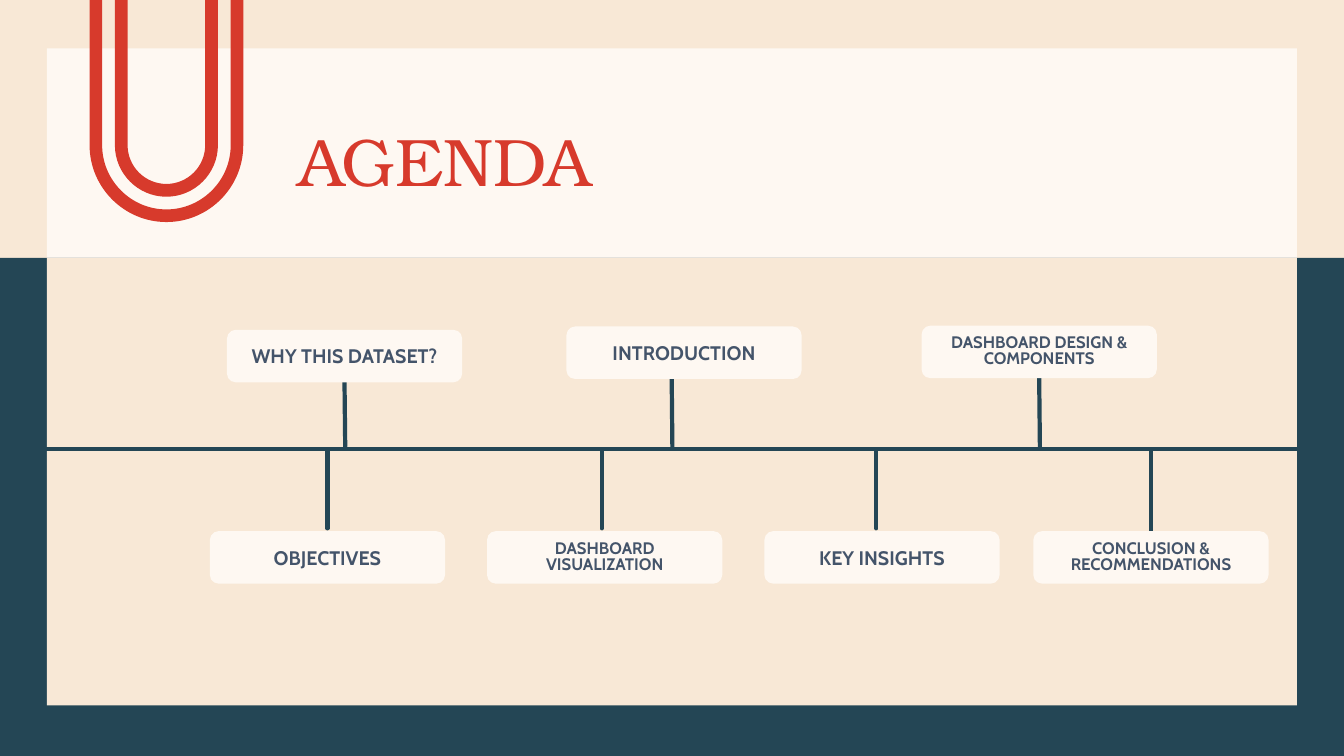
from dataclasses import dataclass

from lxml.etree import SubElement
from pptx import Presentation
from pptx.dml.color import RGBColor
from pptx.enum.shapes import MSO_CONNECTOR, MSO_SHAPE
from pptx.enum.text import MSO_ANCHOR, MSO_AUTO_SIZE, PP_ALIGN
from pptx.oxml.ns import qn
from pptx.util import Pt


@dataclass(frozen=True)
class Theme:
    sand: RGBColor = RGBColor.from_string("F8E8D6")
    cream: RGBColor = RGBColor.from_string("FEF8F2")
    navy: RGBColor = RGBColor.from_string("244655")
    red: RGBColor = RGBColor.from_string("D73A2C")
    slate: RGBColor = RGBColor.from_string("44546A")
    title_font: str = "TeX Gyre Bonum"
    label_font: str = "Cabin"
    title_size: float = 48
    label_size: float = 14
    long_label_size: float = 11.9
    line_width: float = 3


THEME = Theme()
SLIDE_W, SLIDE_H = 960, 540
MARGIN, HEADER_TOP, HEADER_BOTTOM = 33.6, 34.5, 184.2
CARD_W, CARD_H = 168, 37.5
AXIS_Y = 321
LOWER_TOP = 379.4
STEM_LEAN = 0.5
STEM_GAP = 2
CURVE = 0.55  # handle length of a quarter circle, as a share of its radius

# Label, card left, card top, stem offset from the card's centre,
# stem joined to the card, long label
UPPER_TOPICS = [
    ("WHY THIS DATASET?", 162.1, 235.6, 0, True, False),
    ("INTRODUCTION", 404.6, 233.2, -8.8, False, False),
    ("DASHBOARD DESIGN & COMPONENTS", 658.3, 232.6, 0, True, True),
]
LOWER_TOPICS = [
    ("OBJECTIVES", 149.9, LOWER_TOP, 0, False, False),
    ("DASHBOARD VISUALIZATION", 347.9, LOWER_TOP, -2, False, True),
    ("KEY INSIGHTS", 546, LOWER_TOP, -4, False, False),
    ("CONCLUSION & RECOMMENDATIONS", 738.1, LOWER_TOP, 0, True, True),
]


def paint(shape, color):
    shape.shadow.inherit = False
    shape.fill.solid()
    shape.fill.fore_color.rgb = color
    shape.line.fill.background()


def add_panel(slide, left, top, width, height, color, kind=MSO_SHAPE.RECTANGLE):
    panel = slide.shapes.add_shape(kind, Pt(left), Pt(top), Pt(width), Pt(height))
    paint(panel, color)
    return panel


def add_line(slide, x1, y1, x2, y2):
    line = slide.shapes.add_connector(
        MSO_CONNECTOR.STRAIGHT, Pt(x1), Pt(y1), Pt(x2), Pt(y2))
    line.line.color.rgb = THEME.navy
    line.line.width = Pt(THEME.line_width)
    line.line._get_or_add_ln().set("cap", "rnd")
    SubElement(line._element.spPr, qn("a:effectLst"))
    return line


def bend_segment(start, segment, from_side):
    """Turn a straight segment into a quarter circle."""
    x1, y1 = int(start.get("x")), int(start.get("y"))
    end = segment[0]
    x2, y2 = int(end.get("x")), int(end.get("y"))
    corner_x, corner_y = (x1, y2) if from_side else (x2, y1)
    segment.tag = qn("a:cubicBezTo")
    for x, y in ((x2, y2), (x1, y1)):
        handle = segment.makeelement(qn("a:pt"), {
            "x": str(round(x + CURVE * (corner_x - x))),
            "y": str(round(y + CURVE * (corner_y - y)))})
        segment.insert(0, handle)


def add_clip_wire(slide, outer, inner):
    """Draw a U-shaped wire that hangs from the top of the slide."""
    center_x, bend_y = 118.9, 103.7

    def u_outline(radius):
        right, left = center_x + radius, center_x - radius
        return [(right, 0), (right, bend_y), (center_x, bend_y + radius),
                (left, bend_y), (left, 0)]

    points = [(Pt(x), Pt(y)) for x, y in u_outline(outer) + u_outline(inner)[::-1]]
    builder = slide.shapes.build_freeform(*points[0])
    builder.add_line_segments(points[1:], close=True)
    wire = builder.convert_to_shape()
    paint(wire, THEME.red)

    # Round the bends at the foot of both outlines
    segments = list(wire._element.iter(qn("a:moveTo"), qn("a:lnTo")))
    for index, from_side in ((2, True), (3, False), (7, True), (8, False)):
        bend_segment(segments[index - 1][-1], segments[index], from_side)


def set_frame(frame):
    frame.word_wrap = True
    frame.auto_size = MSO_AUTO_SIZE.NONE
    frame.vertical_anchor = MSO_ANCHOR.MIDDLE
    frame.margin_left = frame.margin_right = Pt(9.4)
    frame.margin_top = frame.margin_bottom = Pt(5)


def add_topic(slide, label, left, top, stem_offset, is_joined, is_long):
    # Stem between the card and the axis
    is_upper = top < AXIS_Y
    stem_x = left + CARD_W / 2 + stem_offset
    if is_upper:
        stem = add_line(slide, stem_x, top + CARD_H, stem_x + STEM_LEAN, AXIS_Y - STEM_GAP)
    else:
        stem = add_line(slide, stem_x, top - STEM_GAP, stem_x, AXIS_Y)

    # Card with its label
    card = add_panel(slide, left, top, CARD_W, CARD_H, THEME.cream,
                     MSO_SHAPE.ROUNDED_RECTANGLE)
    if is_joined:
        stem.begin_connect(card, 2 if is_upper else 0)
    set_frame(card.text_frame)
    text = card.text_frame.paragraphs[0]
    text.text = label
    text.alignment = PP_ALIGN.CENTER
    text.line_spacing = 0.8 if is_long else 1.0
    text.font.name = THEME.label_font
    text.font.size = Pt(THEME.long_label_size if is_long else THEME.label_size)
    text.font.bold = True
    text.font.color.rgb = THEME.slate


def add_title(slide, words):
    title = slide.shapes.title
    title.left, title.top, title.width, title.height = (
        Pt(203.8), Pt(81.4), Pt(707.8), Pt(74.2))
    set_frame(title.text_frame)
    text = title.text_frame.paragraphs[0]
    text.text = words
    text.alignment = PP_ALIGN.LEFT
    text.line_spacing = 0.85
    text.font.name = THEME.title_font
    text.font.size = Pt(THEME.title_size)
    text.font.color.rgb = THEME.red
    # Bring the title in front of the panels
    title._element.getparent().append(title._element)


def main():
    deck = Presentation()
    deck.slide_width, deck.slide_height = Pt(SLIDE_W), Pt(SLIDE_H)
    slide = deck.slides.add_slide(deck.slide_layouts[5])
    slide.background.fill.solid()
    slide.background.fill.fore_color.rgb = THEME.sand

    # Backdrop panels
    sheet_w = SLIDE_W - 2 * MARGIN
    add_panel(slide, MARGIN, HEADER_TOP, sheet_w, 169.2, THEME.cream)
    add_panel(slide, 0, HEADER_BOTTOM, SLIDE_W, SLIDE_H - HEADER_BOTTOM, THEME.navy)
    add_panel(slide, MARGIN, HEADER_BOTTOM, sheet_w, 319.7, THEME.sand)

    # Paper clip
    add_clip_wire(slide, 54.9, 45.9)
    add_clip_wire(slide, 36.8, 27.7)

    # Timeline
    add_line(slide, 0.7, AXIS_Y, SLIDE_W - 1.5, AXIS_Y)
    for topic in UPPER_TOPICS + LOWER_TOPICS:
        add_topic(slide, *topic)

    add_title(slide, "AGENDA")
    deck.save("out.pptx")


if __name__ == "__main__":
    main()
